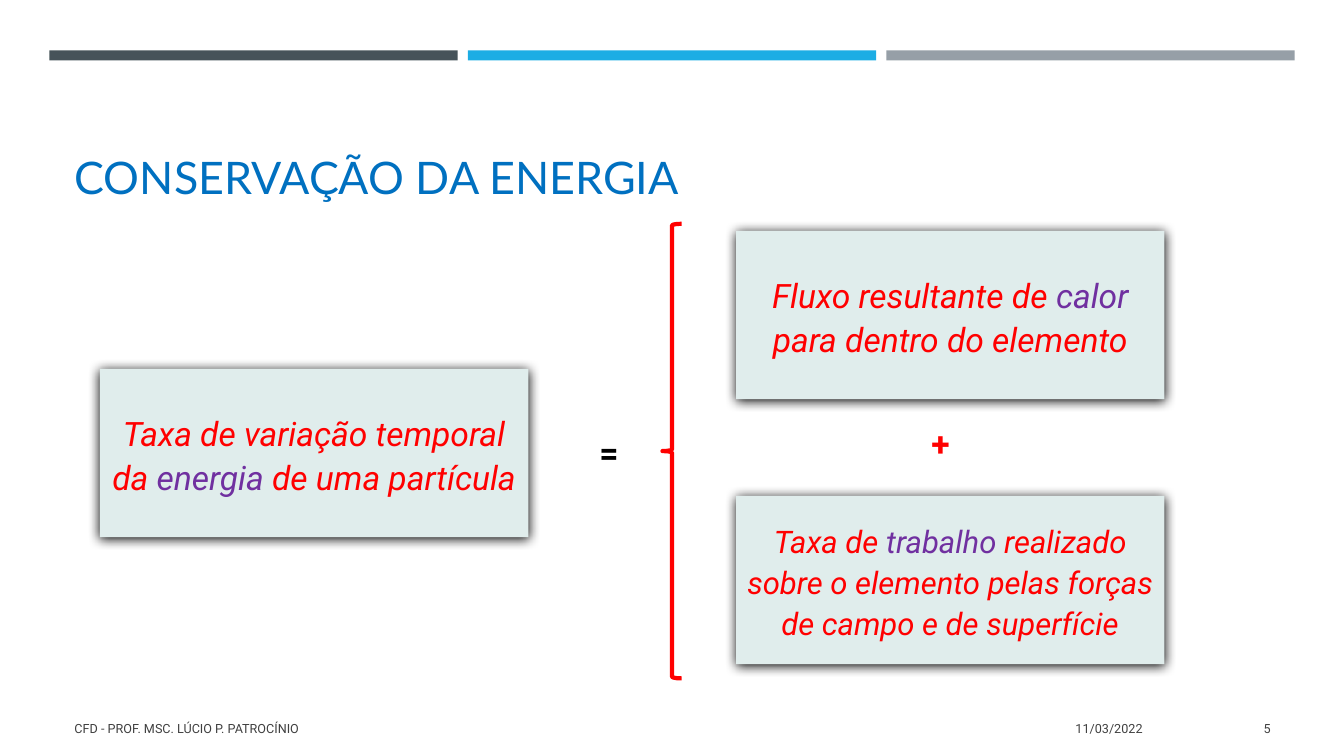
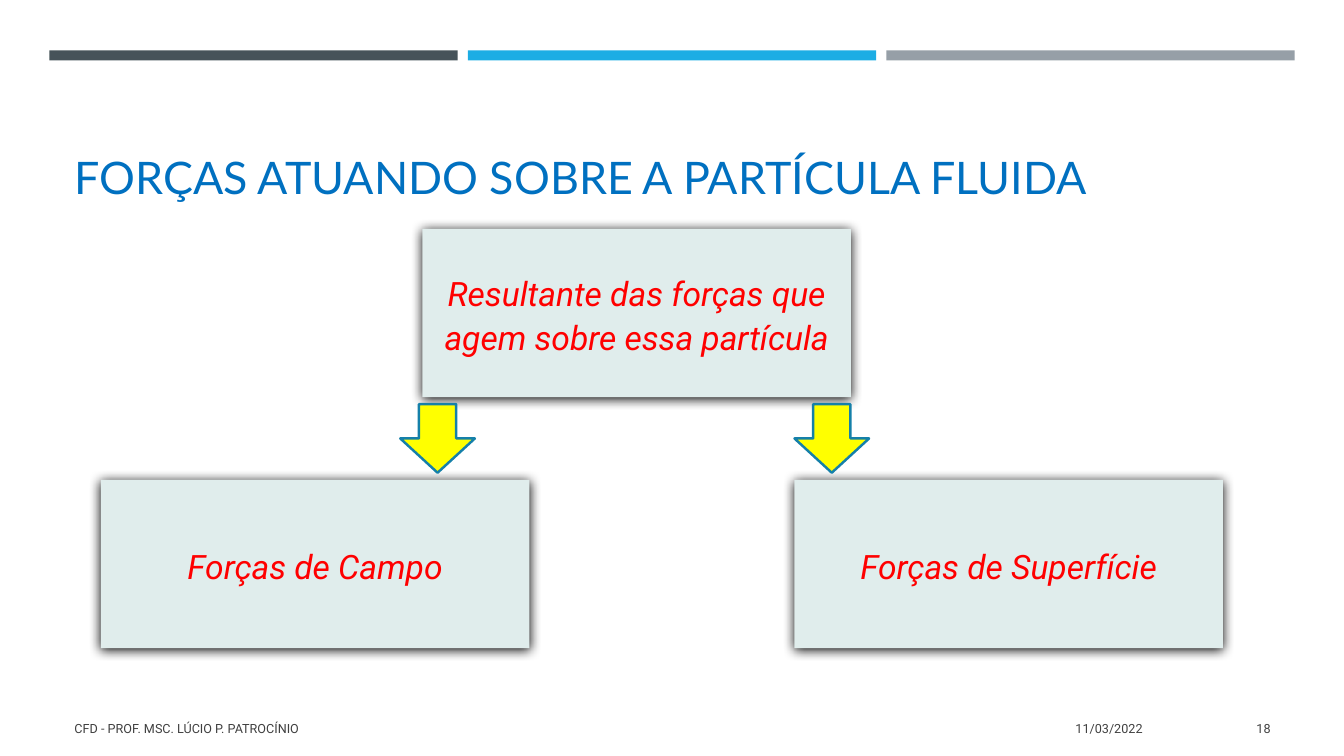
from lxml import etree
from pptx import Presentation
from pptx.dml.color import RGBColor
from pptx.enum.shapes import MSO_SHAPE as SHAPE
from pptx.enum.text import MSO_ANCHOR as ANCHOR, MSO_AUTO_SIZE as FIT, PP_ALIGN as ALIGN
from pptx.oxml.ns import qn
from pptx.util import Inches, Pt

COLORS = {"dark": "465359", "cyan": "1CADE4", "gray": "969FA7", "title": "0070C0",
          "footer": "404040", "box": "E0EDEC", "red": "FF0000", "purple": "7030A0",
          "black": "000000", "yellow": "FFFF00", "outline": "1580A9"}
RGB = {name: RGBColor.from_string(value) for name, value in COLORS.items()}
TITLE_FONT, BODY_FONT = "Lato", "Roboto"
BOX_W, BOX_H = 4.25, 1.67


def add_shape(s, kind, x, y, w, h, fill=None, line=None, width=1):
    sp = s.shapes.add_shape(kind, Inches(x), Inches(y), Inches(w), Inches(h))
    sp.shadow.inherit = False
    if fill:
        sp.fill.solid()
        sp.fill.fore_color.rgb = RGB[fill]
    else:
        sp.fill.background()
    if line:
        sp.line.color.rgb = RGB[line]
        sp.line.width = Pt(width)
    else:
        sp.line.fill.background()
    return sp


def add_text(s, x, y, w, h, text, size, color, align, bold=False):
    tb = s.shapes.add_textbox(Inches(x), Inches(y), Inches(w), Inches(h))
    tf = tb.text_frame
    tf.word_wrap = True
    p = tf.paragraphs[0]
    p.text, p.alignment = text, align
    p.font.name, p.font.size, p.font.bold = BODY_FONT, Pt(size), bold
    p.font.color.rgb = RGB[color]
    return tf


# Slide contents: each box is left, top, text size and coloured runs
slides = [
    ("CONSERVAÇÃO DA ENERGIA", "5", [
        (0.99, 3.66, 24, [("Taxa de variação temporal da ", "red"), ("energia", "purple"),
                          (" de uma partícula", "red")]),
        (7.3, 2.29, 24, [("Fluxo resultante de ", "red"), ("calor", "purple"),
                         (" para dentro do elemento", "red")]),
        (7.3, 4.92, 22.2, [("Taxa de ", "red"), ("trabalho", "purple"),
                           (" realizado sobre o elemento pelas forças de campo"
                            " e de superfície", "red")]),
    ]),
    ("FORÇAS ATUANDO SOBRE A PARTÍCULA FLUIDA", "18", [
        (4.19, 2.27, 24, [("Resultante das forças que agem sobre essa partícula", "red")]),
        (1, 4.76, 24, [("Forças de Campo", "red")]),
        (7.88, 4.76, 24, [("Forças de Superfície", "red")]),
    ]),
]

prs = Presentation()
prs.slide_width, prs.slide_height = Inches(13.33), Inches(7.5)

for title, number, boxes in slides:
    s = prs.slides.add_slide(prs.slide_layouts[5])

    # Top bands
    for i, color in enumerate(["dark", "cyan", "gray"]):
        add_shape(s, SHAPE.RECTANGLE, 0.49 + i * 4.15, 0.5, 4.05, 0.1, color)

    # Title
    ph = s.shapes.title
    ph.left, ph.top, ph.width, ph.height = Inches(0.64), Inches(0.77), Inches(12.06), Inches(1.3)
    ph.text_frame.text = title
    ph.text_frame.vertical_anchor = ANCHOR.BOTTOM
    p = ph.text_frame.paragraphs[0]
    p.alignment = ALIGN.LEFT
    p.font.name, p.font.size = TITLE_FONT, Pt(32)
    p.font.color.rgb = RGB["title"]

    # Footer
    for x, w, text, align in [
        (0.64, 7.56, "CFD - PROF. MSC. LÚCIO P. PATROCÍNIO", ALIGN.LEFT),
        (8.32, 3.11, "11/03/2022", ALIGN.RIGHT),
        (11.55, 1.15, number, ALIGN.RIGHT),
    ]:
        tf = add_text(s, x, 7.03, w, 0.4, text, 9, "footer", align)
        tf.vertical_anchor = ANCHOR.MIDDLE

    # Boxes with a soft shadow
    for x, y, size, runs in boxes:
        sp = add_shape(s, SHAPE.RECTANGLE, x, y, BOX_W, BOX_H, "box")
        effects = sp.element.spPr.find(qn("a:effectLst"))
        shadow = etree.SubElement(effects, qn("a:outerShdw"), blurRad=str(Pt(8.5)),
                                  dist=str(Pt(1)), dir="5400000", rotWithShape="0")
        etree.SubElement(shadow, qn("a:srgbClr"), val=COLORS["black"])
        tf = sp.text_frame
        tf.word_wrap = True
        tf.vertical_anchor = ANCHOR.MIDDLE
        p = tf.paragraphs[0]
        p.alignment, p.line_spacing = ALIGN.CENTER, 1.1
        p.space_before, p.space_after = Pt(size * 0.2), Pt(6)
        p.font.name, p.font.size, p.font.italic = BODY_FONT, Pt(size), True
        for text, color in runs:
            r = p.add_run()
            r.text = text
            r.font.color.rgb = RGB[color]

# Energy balance: operators and brace
energy, forces = prs.slides
for x, y, sign, color in [(5.62, 4.24, "=", "black"), (8.91, 4.15, "+", "red")]:
    tf = add_text(energy, x, y, 0.84, 0.5, sign, 24, color, ALIGN.CENTER, bold=True)
    tf.auto_size = FIT.SHAPE_TO_FIT_TEXT
add_shape(energy, SHAPE.LEFT_BRACE, 6.57, 2.22, 0.19, 4.51, line="red", width=3)

# Forces: arrows down to the two kinds
for x in (3.97, 7.88):
    add_shape(forces, SHAPE.DOWN_ARROW, x, 4.01, 0.74, 0.68, "yellow", "outline", 1.75)

prs.save("out.pptx")
